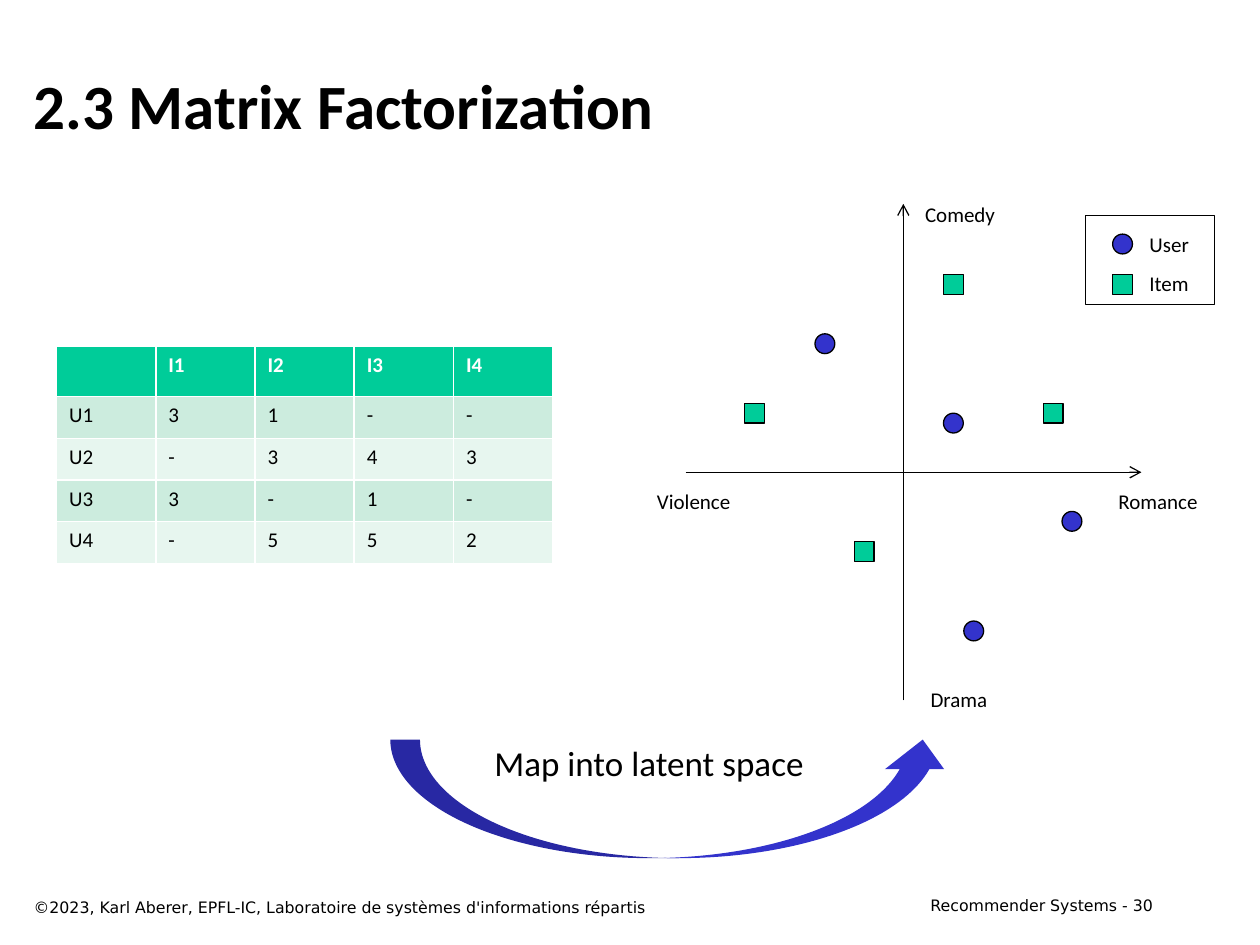
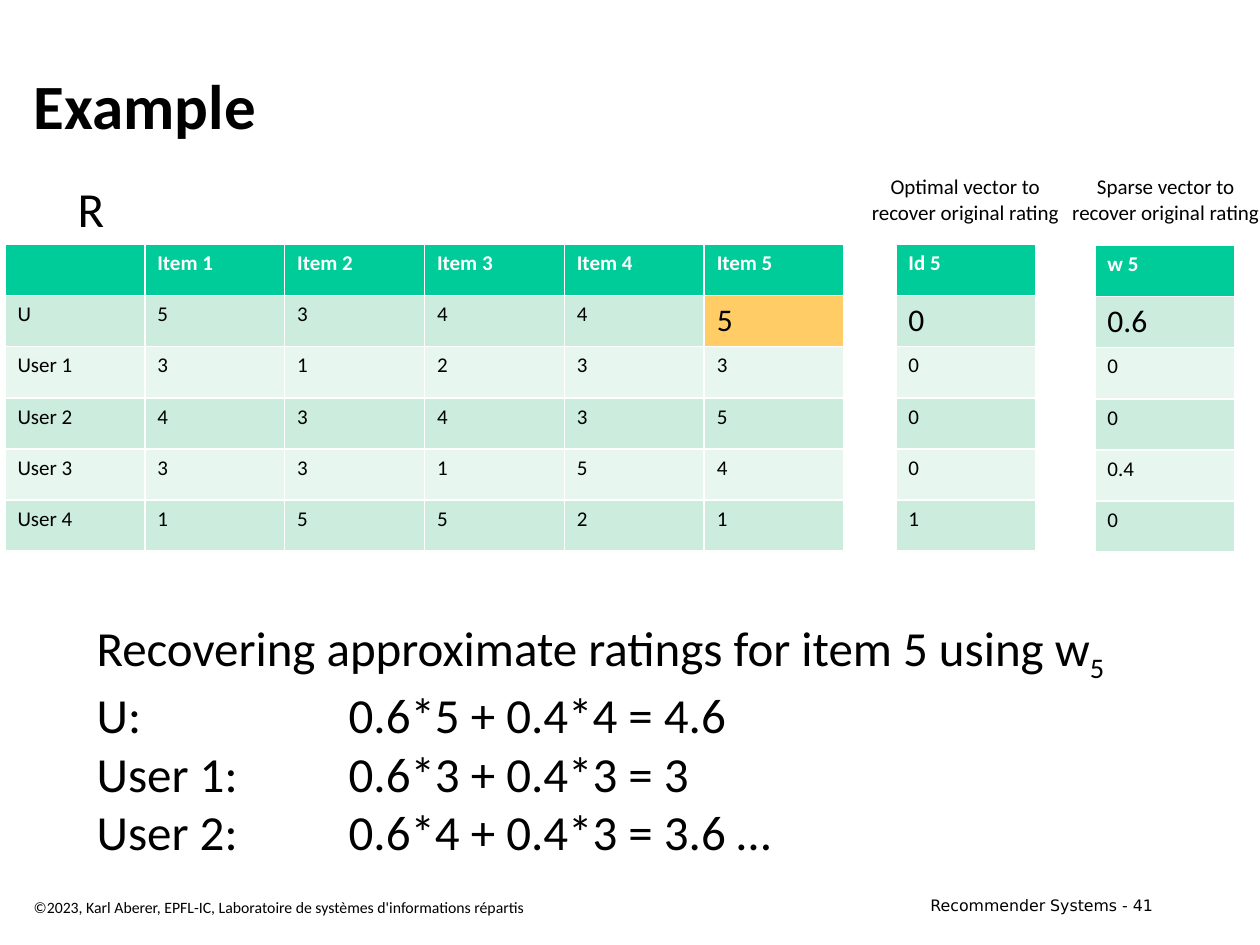
"""Build two slides on matrix factorization for recommender systems."""
from dataclasses import dataclass

from lxml import etree
from pptx import Presentation
from pptx.dml.color import RGBColor
from pptx.enum.shapes import MSO_CONNECTOR, MSO_SHAPE
from pptx.enum.text import MSO_ANCHOR, PP_ALIGN
from pptx.oxml.ns import qn
from pptx.util import Cm, Pt

LEFT, CENTER, RIGHT = PP_ALIGN.LEFT, PP_ALIGN.CENTER, PP_ALIGN.RIGHT
MIDDLE = MSO_ANCHOR.MIDDLE
STRAIGHT = MSO_CONNECTOR.STRAIGHT
RECTANGLE, OVAL = MSO_SHAPE.RECTANGLE, MSO_SHAPE.OVAL
CURVED_ARROW = MSO_SHAPE.CURVED_UP_ARROW


@dataclass(frozen=True)
class Theme:
    """Colours, fonts and type sizes."""
    ink: RGBColor = RGBColor.from_string("000000")
    paper: RGBColor = RGBColor.from_string("FFFFFF")
    item: RGBColor = RGBColor.from_string("00CC99")
    user: RGBColor = RGBColor.from_string("3333CC")
    highlight: RGBColor = RGBColor.from_string("FFCC66")
    bands: tuple = (RGBColor.from_string("E7F6EF"), RGBColor.from_string("CCECDE"))
    font: str = "Calibri"
    footer_font: str = "DejaVu Sans"
    title: Pt = Pt(36)
    large: Pt = Pt(28)
    medium: Pt = Pt(20)
    rating: Pt = Pt(18)
    small: Pt = Pt(12)
    footer: Pt = Pt(9)
    line: Pt = Pt(0.75)


THEME = Theme()


def write(frame, lines, align=LEFT, color=THEME.ink, tab=None, **formats):
    """Fill a text frame with equally formatted paragraphs."""
    frame.text = "\n".join(lines)
    for paragraph in frame.paragraphs:
        paragraph.alignment = align
        if tab:
            stops = etree.SubElement(paragraph._p.get_or_add_pPr(), qn("a:tabLst"))
            etree.SubElement(stops, qn("a:tab"), pos=str(tab), algn="l")
        for run in paragraph.runs:
            for name, value in {"name": THEME.font, "size": THEME.small, **formats}.items():
                setattr(run.font, name, value)
            run.font.color.rgb = color


def add_ratings(slide, left, top, col_width, row_height, rows, first_size=THEME.small):
    """Add a banded rating table whose first rating ends in first_size."""
    last = len(rows[0]) - 1
    ratings = slide.shapes.add_table(
        len(rows), len(rows[0]), Cm(left), Cm(top),
        Cm(col_width * len(rows[0])), Cm(row_height * len(rows))).table
    for r, row in enumerate(rows):
        for c, value in enumerate(row):
            cell = ratings.cell(r, c)
            cell.fill.solid()
            cell.fill.fore_color.rgb = THEME.bands[r % 2] if r else THEME.item
            write(cell.text_frame, [value], color=THEME.ink if r else THEME.paper, bold=r == 0,
                  size=first_size if (r, c) == (1, last) else THEME.small)
    return ratings


deck = Presentation()
deck.slide_width, deck.slide_height = Cm(25.4), Cm(19.05)
title_only = deck.slide_layouts[5]

slides = []
for heading, number, copyright_font in (
        ("2.3 Matrix Factorization", 30, THEME.footer_font),
        ("Example", 41, THEME.font)):
    slide = deck.slides.add_slide(title_only)
    slides.append(slide)
    title = slide.shapes.title
    title.left, title.top, title.width, title.height = Cm(0.43), Cm(0.84), Cm(23.06), Cm(2.54)
    title.text_frame.vertical_anchor = MIDDLE
    write(title.text_frame, [heading], size=THEME.title, bold=True)
    for box, text, align, font in (
            ((18.21, 17.93, 5.28, 0.64), f"Recommender Systems - {number}", RIGHT,
             THEME.footer_font),
            ((0.43, 17.98, 16.31, 0.64),
             "©2023, Karl Aberer, EPFL-IC, Laboratoire de systèmes d'informations répartis",
             LEFT, copyright_font)):
        footer = slide.shapes.add_textbox(*map(Cm, box)).text_frame
        footer.word_wrap = True
        write(footer, [text], align, name=font, size=THEME.footer)

mapping, example = slides

add_ratings(mapping, 1.14, 6.98, 2, 0.84, [
    ["", "I1", "I2", "I3", "I4"],
    ["U1", "3", "1", "-", "-"],
    ["U2", "-", "3", "4", "3"],
    ["U3", "3", "-", "1", "-"],
    ["U4", "-", "5", "5", "2"]])

for ends in ((18.21, 14.12, 18.21, 4.11), (13.82, 9.52, 23.01, 9.52)):
    axis = mapping.shapes.add_connector(STRAIGHT, *map(Cm, ends))
    axis.line.color.rgb = THEME.ink
    axis.line.width = THEME.line
    etree.SubElement(axis.line._get_or_add_ln(), qn("a:tailEnd"), type="arrow")
    etree.SubElement(axis._element.spPr, qn("a:effectLst"))

marker = 0.4
item_points = [(21.03, 8.13), (19.02, 5.54), (17.22, 10.92), (15.01, 8.13), (22.43, 5.54)]
user_points = [(16.43, 6.73), (19.43, 12.52), (19.02, 8.33), (21.41, 10.31), (22.43, 4.72)]
drawings = [(RECTANGLE, (x, y, marker, marker), THEME.item, True) for x, y in item_points]
drawings += [(OVAL, (x, y, marker, marker), THEME.user, True) for x, y in user_points]
drawings += [(RECTANGLE, (21.89, 4.34, 2.59, 1.8), None, True),
             (CURVED_ARROW, (7.87, 14.91, 11.33, 2.39), THEME.user, False)]
for kind, box, color, outlined in drawings:
    drawing = mapping.shapes.add_shape(kind, *map(Cm, box))
    drawing.shadow.inherit = False
    if color is None:
        drawing.fill.background()
    else:
        drawing.fill.solid()
        drawing.fill.fore_color.rgb = color
    if outlined:
        drawing.line.color.rgb = THEME.ink
        drawing.line.width = THEME.line
    else:
        drawing.line.fill.background()

items = [f"Item {n}" for n in range(1, 6)]
rating_grid = add_ratings(example, 0.1, 4.93, 2.82, 1.03, [
    ["", *items],
    ["U", "5", "3", "4", "4", "5"],
    ["User 1", "3", "1", "2", "3", "3"],
    ["User 2", "4", "3", "4", "3", "5"],
    ["User 3", "3", "3", "1", "5", "4"],
    ["User 4", "1", "5", "5", "2", "1"]], THEME.rating)
rating_grid.cell(1, 5).fill.fore_color.rgb = THEME.highlight
for left, top, vector in (
        (18.06, 4.93, ["Id 5", "0", "0", "0", "0", "1"]),
        (22.07, 4.95, ["w 5", "0.6", "0", "0", "0.4", "0"])):
    add_ratings(example, left, top, 2.82, 1.03, [[value] for value in vector], THEME.rating)

for slide, box, text, size in (
        (mapping, (22.28, 9.73, 2.13, 0.76), "Romance", THEME.small),
        (mapping, (12.98, 9.73, 2.01, 0.76), "Violence", THEME.small),
        (mapping, (18.49, 13.72, 1.68, 0.76), "Drama", THEME.small),
        (mapping, (18.39, 3.94, 1.93, 0.76), "Comedy", THEME.small),
        (mapping, (22.91, 4.55, 1.32, 0.76), "User", THEME.small),
        (mapping, (22.89, 5.33, 1.35, 0.76), "Item", THEME.small),
        (mapping, (9.68, 14.83, 6.81, 1.12), "Map into latent space", THEME.medium),
        (example, (1.3, 3.48, 1.07, 1.45), "R", THEME.large),
        (example, (17.3, 3.38, 4.32, 1.27), "Optimal vector to\vrecover original rating",
         THEME.small),
        (example, (21.34, 3.38, 4.32, 1.27), "Sparse vector to\vrecover original rating",
         THEME.small)):
    label = slide.shapes.add_textbox(*map(Cm, box)).text_frame
    label.word_wrap = False
    write(label, [text], CENTER, size=size)

recovery = example.shapes.add_textbox(Cm(1.7), Cm(12.32), Cm(21.11), Cm(5.05)).text_frame
recovery.word_wrap = True
write(recovery, [
    "Recovering approximate ratings for item 5 using w",
    "U:\t0.6*5 + 0.4*4 = 4.6",
    "User 1:\t0.6*3 + 0.4*3 = 3",
    "User 2:\t0.6*4 + 0.4*3 = 3.6 …"], tab=Cm(5.08), size=THEME.large)
subscript = recovery.paragraphs[0].add_run()
subscript.text = "5"
for name, value in {"name": THEME.font, "size": THEME.large}.items():
    setattr(subscript.font, name, value)
subscript.font.color.rgb = THEME.ink
subscript._r.get_or_add_rPr().set("baseline", "-25000")

deck.save("out.pptx")
